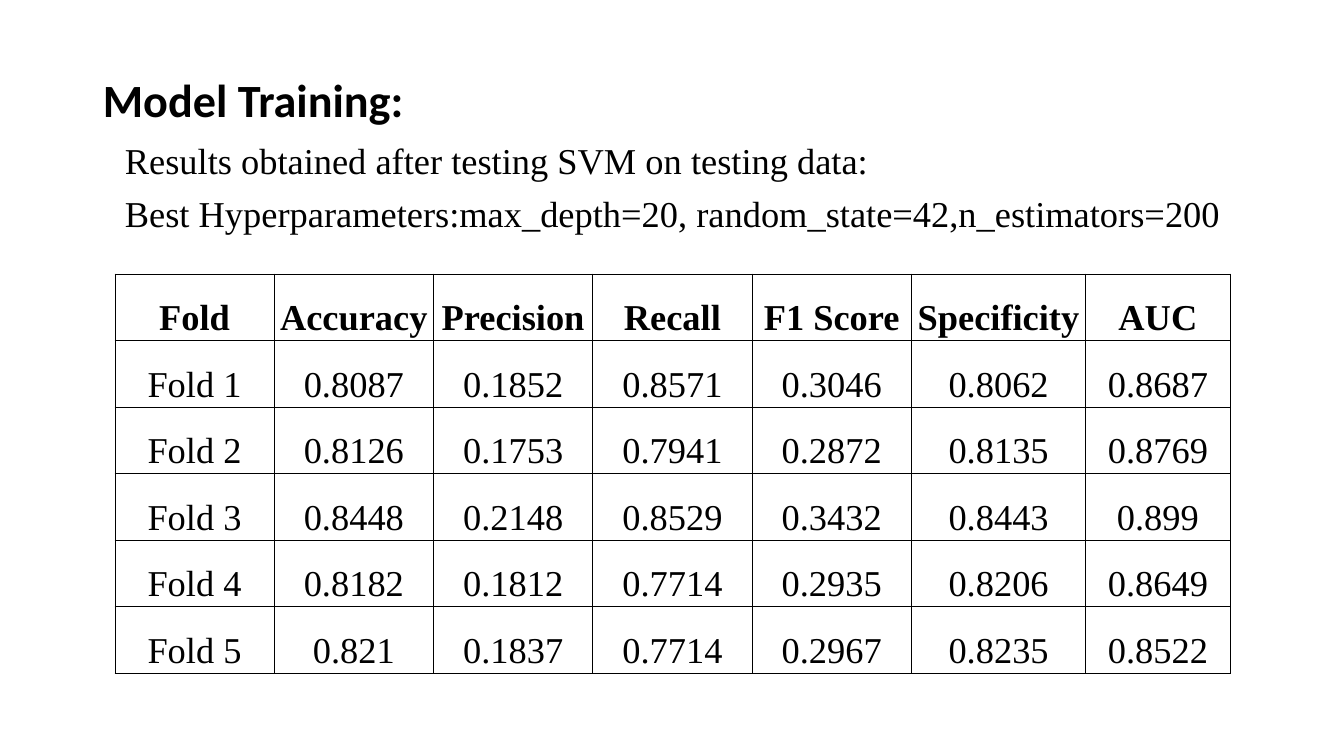
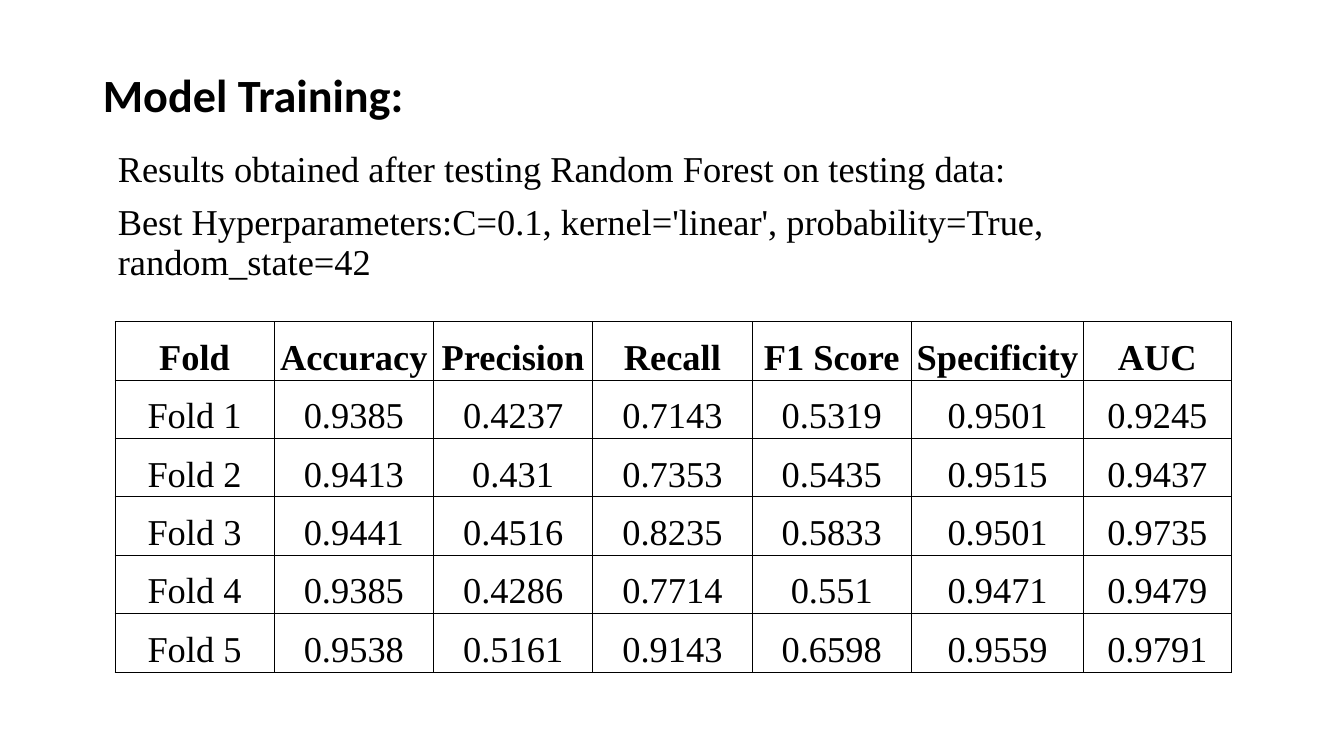
from lxml.etree import SubElement
from pptx import Presentation
from pptx.dml.color import RGBColor
from pptx.enum.text import MSO_ANCHOR, MSO_AUTO_SIZE, PP_ALIGN
from pptx.oxml.ns import qn
from pptx.util import Inches, Pt

# Shared style
BLACK = "000000"
TITLE_FONT = "Calibri"
TEXT_FONT = "Times New Roman"
TEXT_SIZE = 26
TITLE_ONLY_LAYOUT = 5

# Shared table frame
TABLE_LEFT = 1.14
METRIC_WIDTH = 1.58
HEADERS = ["Fold", "Accuracy", "Precision", "Recall", "F1 Score", "Specificity", "AUC"]

# Fold scores, in the order of the headers after "Fold"
SVM_SCORES = [
    ["0.8087", "0.1852", "0.8571", "0.3046", "0.8062", "0.8687"],
    ["0.8126", "0.1753", "0.7941", "0.2872", "0.8135", "0.8769"],
    ["0.8448", "0.2148", "0.8529", "0.3432", "0.8443", "0.899"],
    ["0.8182", "0.1812", "0.7714", "0.2935", "0.8206", "0.8649"],
    ["0.821", "0.1837", "0.7714", "0.2967", "0.8235", "0.8522"],
]
FOREST_SCORES = [
    ["0.9385", "0.4237", "0.7143", "0.5319", "0.9501", "0.9245"],
    ["0.9413", "0.431", "0.7353", "0.5435", "0.9515", "0.9437"],
    ["0.9441", "0.4516", "0.8235", "0.5833", "0.9501", "0.9735"],
    ["0.9385", "0.4286", "0.7714", "0.551", "0.9471", "0.9479"],
    ["0.9538", "0.5161", "0.9143", "0.6598", "0.9559", "0.9791"],
]


def color(hex_string):
    return RGBColor.from_string(hex_string)


def format_paragraph(paragraph, line_spacing, font_name=TEXT_FONT, size=TEXT_SIZE,
                     bold=False, alignment=PP_ALIGN.LEFT):
    paragraph.alignment = alignment
    paragraph.line_spacing = line_spacing
    for run in paragraph.runs:
        run.font.name = font_name
        run.font.size = Pt(size)
        run.font.bold = bold
        run.font.color.rgb = color(BLACK)


def place(shape, left, top, width, height):
    shape.left, shape.top = Inches(left), Inches(top)
    shape.width, shape.height = Inches(width), Inches(height)


def add_title_slide(presentation, title, top, height):
    """Add a slide and place its title in the template's placeholder."""
    slide = presentation.slides.add_slide(presentation.slide_layouts[TITLE_ONLY_LAYOUT])
    shape = slide.shapes.title
    place(shape, 0.92, top, 11.5, height)
    text_frame = shape.text_frame
    text_frame.text = title
    text_frame.auto_size = MSO_AUTO_SIZE.NONE
    text_frame.vertical_anchor = MSO_ANCHOR.MIDDLE
    format_paragraph(text_frame.paragraphs[0], 0.9, TITLE_FONT, 33, bold=True)
    return slide


def add_description(slide, lines, left, top, width, height):
    shape = slide.shapes.add_textbox(Inches(left), Inches(top), Inches(width), Inches(height))
    text_frame = shape.text_frame
    text_frame.word_wrap = True
    text_frame.auto_size = MSO_AUTO_SIZE.SHAPE_TO_FIT_TEXT
    text_frame.margin_top = text_frame.margin_bottom = Inches(0.1)
    text_frame.text = "\n".join(lines)
    for index, paragraph in enumerate(text_frame.paragraphs):
        format_paragraph(paragraph, 0.9)
        if index:
            paragraph.space_before = Pt(10)


def add_borders(cell):
    properties = cell._tc.get_or_add_tcPr()
    for side in ("a:lnL", "a:lnR", "a:lnT", "a:lnB"):
        line = SubElement(properties, qn(side), w=str(Pt(0.75)))
        fill = SubElement(line, qn("a:solidFill"))
        SubElement(fill, qn("a:srgbClr"), val=BLACK)


def format_cell(cell, text, bold):
    cell.text = text
    cell.vertical_anchor = MSO_ANCHOR.BOTTOM
    cell.margin_left = cell.margin_right = Inches(0.03)
    cell.margin_top = cell.margin_bottom = Inches(0.02)
    add_borders(cell)
    cell.fill.background()
    format_paragraph(cell.text_frame.paragraphs[0], 1.15, bold=bold,
                     alignment=PP_ALIGN.CENTER)


def add_score_table(slide, scores, top, row_height, last_widths):
    rows = [HEADERS] + [[f"Fold {number}", *values]
                        for number, values in enumerate(scores, start=1)]
    widths = [METRIC_WIDTH] * (len(HEADERS) - len(last_widths)) + last_widths
    table = slide.shapes.add_table(
        len(rows), len(HEADERS), Inches(TABLE_LEFT), Inches(top),
        Inches(sum(widths)), Inches(row_height * len(rows))).table
    table.horz_banding = False
    for column, width in zip(table.columns, widths):
        column.width = Inches(width)
    for row_index, values in enumerate(rows):
        table.rows[row_index].height = Inches(row_height)
        for column_index, text in enumerate(values):
            format_cell(table.cell(row_index, column_index), text, bold=row_index == 0)


def main():
    presentation = Presentation()
    presentation.slide_width = Inches(13.33)
    presentation.slide_height = Inches(7.5)

    # SVM results
    slide = add_title_slide(presentation, "Model Training:", 0.19, 1.66)
    add_score_table(slide, SVM_SCORES, 2.72, 0.66, [1.73, 1.43])
    add_description(slide, [
        "Results obtained after testing SVM on testing data:",
        "Best Hyperparameters:max_depth=20, random_state=42,n_estimators=200",
    ], 1.14, 1.32, 11.79, 2.2)

    # Random Forest results
    slide = add_title_slide(presentation, "Model Training:", 0.4, 1.13)
    add_score_table(slide, FOREST_SCORES, 3.19, 0.58, [1.71, 1.46])
    add_description(slide, [
        "Results obtained after testing Random Forest on testing data:",
        "Best Hyperparameters:C=0.1, kernel='linear', probability=True, random_state=42",
    ], 1.07, 1.4, 11.67, 2.06)

    presentation.save("out.pptx")


if __name__ == "__main__":
    main()
